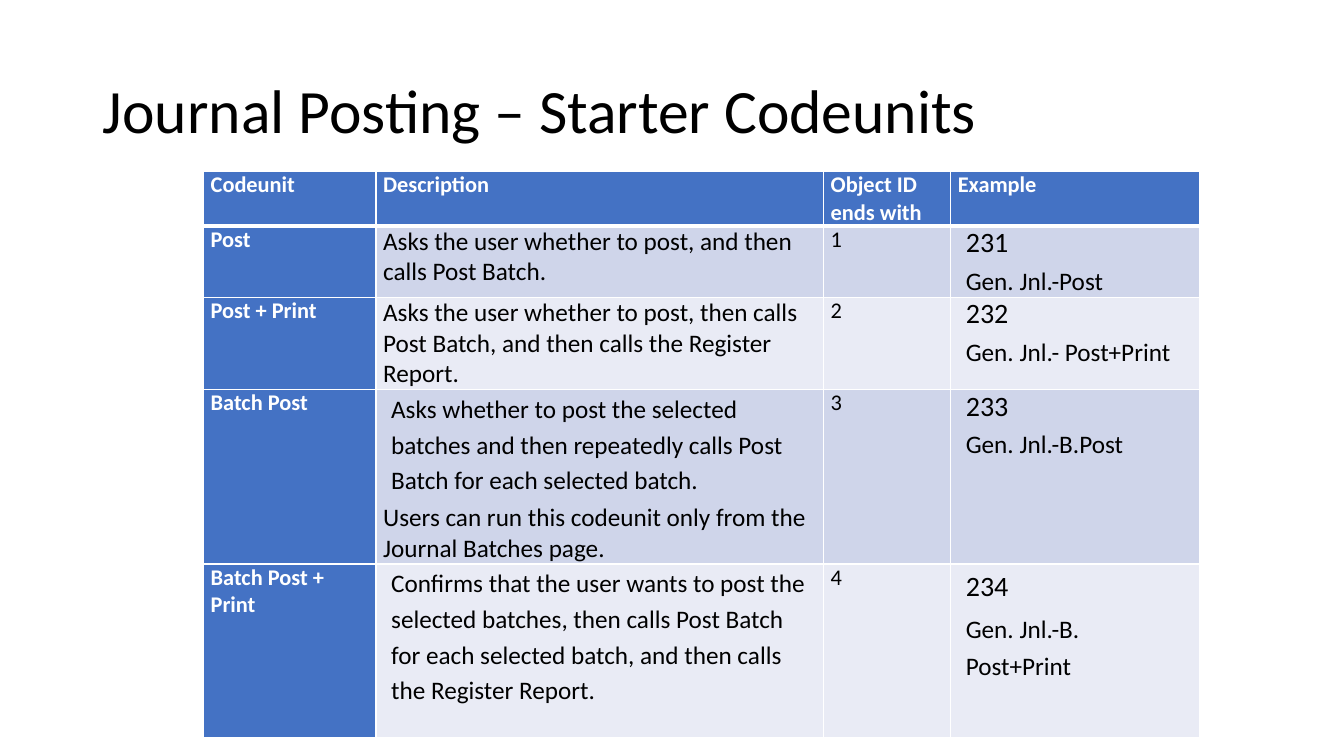
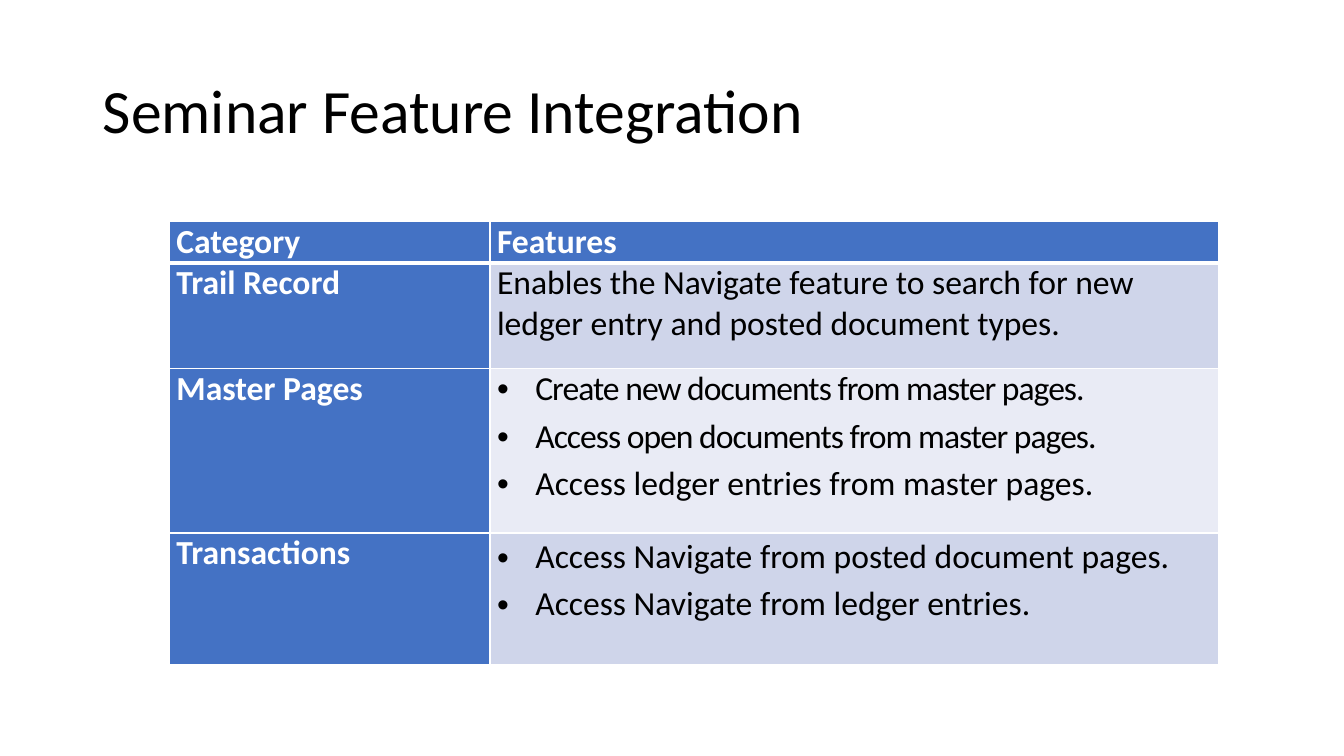
from dataclasses import dataclass

from lxml import etree
from pptx import Presentation
from pptx.dml.color import RGBColor
from pptx.enum.text import MSO_ANCHOR, MSO_AUTO_SIZE, PP_ALIGN
from pptx.oxml.ns import qn
from pptx.util import Inches, Pt

LEFT = PP_ALIGN.LEFT
MIDDLE = MSO_ANCHOR.MIDDLE
NO_FIT = MSO_AUTO_SIZE.NONE
TITLE_ONLY = 5


@dataclass(frozen=True)
class Theme:
    font: str = "Calibri"
    text: str = "000000"
    light: str = "FFFFFF"
    header: str = "4472C4"
    bands: tuple = ("CFD5EA", "E9EBF5")
    title_size: float = 44
    small: float = 16
    body: float = 18
    code: float = 20
    large: float = 24
    gap: float = 4.3
    loose: float = 1.16
    text_indent: float = 0.08
    bullet_indent: float = 0.38


THEME = Theme()


def para(text, **fmt):
    """Pair a paragraph's text with its format."""
    return text, fmt


def indented(text, **fmt):
    return para(text, indent=THEME.text_indent, **fmt)


def bullet(text, **fmt):
    return para(text, indent=THEME.bullet_indent, bulleted=True, **fmt)


def example(number, *lines, **fmt):
    """Object number in larger type, with its name below."""
    return [indented(number, size=THEME.code, **fmt),
            *(indented(line, **fmt) for line in lines)]


def write(p, text, *, size, color, bold=False, before=0, line=None,
          indent=0, bulleted=False, spacing=0):
    """Fill one paragraph; spacing is between letters, in points."""
    pPr = p._p.get_or_add_pPr()
    p.alignment = LEFT
    p.space_before = Pt(before)
    if line:
        p.line_spacing = line
    if indent:
        pPr.set("marL", str(Inches(indent)))
    if bulleted:
        pPr.set("indent", str(-Inches(indent)))
        etree.SubElement(pPr, qn("a:buFont"), typeface="Arial")
        etree.SubElement(pPr, qn("a:buChar"), char="•")
    r = p.add_run()
    r.text = text
    r.font.name = THEME.font
    r.font.size = Pt(size)
    r.font.bold = bold
    r.font.color.rgb = RGBColor.from_string(color)
    if spacing:
        r._r.get_or_add_rPr().set("spc", str(round(spacing * 100)))


class Deck:
    def __init__(self, theme):
        self.theme = theme
        self.prs = Presentation()
        self.prs.slide_width = Inches(13.33)
        self.prs.slide_height = Inches(7.5)
        self.slide = None

    def add_slide(self, title):
        layout = self.prs.slide_layouts[TITLE_ONLY]
        self.slide = self.prs.slides.add_slide(layout)
        sp = self.slide.shapes.title
        sp.left, sp.top = Inches(0.92), Inches(0.4)
        sp.width, sp.height = Inches(11.5), Inches(1.45)
        tf = sp.text_frame
        tf.word_wrap = True
        tf.auto_size = NO_FIT
        tf.vertical_anchor = MIDDLE
        write(tf.paragraphs[0], title, size=self.theme.title_size,
              color=self.theme.text, line=0.9)

    def add_table(self, left, top, widths, heights, rows, sizes):
        """Table with header row and column; sizes gives each column's type."""
        frame = self.slide.shapes.add_table(
            len(rows), len(widths), Inches(left), Inches(top),
            Inches(sum(widths)), Inches(sum(heights)))
        table = frame.table
        for column, width in zip(table.columns, widths):
            column.width = Inches(width)
        for row, height in zip(table.rows, heights):
            row.height = Inches(height)
        for i, row in enumerate(rows):
            for j, content in enumerate(row):
                is_header = i == 0 or j == 0
                cell = table.cell(i, j)
                fill = self.theme.header if is_header else self.theme.bands[(i - 1) % 2]
                self.style_cell(cell, fill, top=3 if i == 1 else 1,
                                bottom=3 if i == 0 else 1)
                self.fill_cell(cell, content, bold=is_header,
                               size=sizes[0] if is_header else sizes[j],
                               color=self.theme.light if is_header else self.theme.text)

    def style_cell(self, cell, fill, top, bottom):
        cell.margin_left = cell.margin_right = Inches(0.07)
        cell.margin_top = cell.margin_bottom = 0
        tcPr = cell._tc.get_or_add_tcPr()
        for side, width in (("L", 1), ("R", 1), ("T", top), ("B", bottom)):
            ln = etree.SubElement(tcPr, qn(f"a:ln{side}"), w=str(Pt(width)))
            solid = etree.SubElement(ln, qn("a:solidFill"))
            etree.SubElement(solid, qn("a:srgbClr"), val=self.theme.light)
        cell.fill.solid()
        cell.fill.fore_color.rgb = RGBColor.from_string(fill)

    def fill_cell(self, cell, content, **base):
        tf = cell.text_frame
        items = [para(content)] if isinstance(content, str) else content
        for k, (text, fmt) in enumerate(items):
            p = tf.add_paragraph() if k else tf.paragraphs[0]
            before = self.theme.gap if k else 0
            write(p, text, **{**base, "before": before, **fmt})


def starter_codeunits(deck):
    t = deck.theme
    deck.add_slide("Journal Posting – Starter Codeunits")
    rows = [
        ["Codeunit", "Description", "Object ID ends with", "Example"],
        ["Post",
         "Asks the user whether to post, and then calls Post Batch.",
         "1", example("231", "Gen. Jnl.-Post")],
        ["Post + Print",
         "Asks the user whether to post, then calls Post Batch, and then "
         "calls the Register Report.",
         "2", example("232", "Gen. Jnl.- Post+Print")],
        ["Batch Post",
         [indented("Asks whether to post the selected batches and then repeatedly "
                   "calls Post Batch for each selected batch.", line=t.loose),
          para("Users can run this codeunit only from the Journal Batches page.")],
         "3", example("233", "Gen. Jnl.-B.Post")],
        ["Batch Post + Print",
         [indented("Confirms that the user wants to post the selected batches, then "
                   "calls Post Batch for each selected batch, and then calls the "
                   "Register Report.", line=t.loose)],
         "4", [*example("234", "Gen. Jnl.-B.", line=t.loose),
               indented("Post+Print")]],
    ]
    deck.add_table(2.02, 1.7, [1.71, 4.44, 1.26, 2.47],
                   [0.46, 0.55, 0.68, 1.69, 1.72], rows,
                   [t.small, t.body, t.small, t.body])


def feature_integration(deck):
    t = deck.theme
    deck.add_slide("Seminar Feature Integration")
    rows = [
        ["Category", "Features"],
        ["Trail Record",
         "Enables the Navigate feature to search for new ledger entry and "
         "posted document types."],
        ["Master Pages",
         [bullet("Create new documents from master pages.", spacing=-0.7),
          bullet("Access open documents from master pages.", spacing=-0.7, before=5.2),
          bullet("Access ledger entries from master pages.")]],
        ["Transactions",
         [bullet("Access Navigate from posted document pages.", line=1.1),
          bullet("Access Navigate from ledger entries.")]],
    ]
    deck.add_table(1.68, 2.2, [3.18, 7.23], [0.35, 1.05, 1.63, 1.31], rows,
                   [t.large, t.large])


def main():
    deck = Deck(THEME)
    starter_codeunits(deck)
    feature_integration(deck)
    deck.prs.save("out.pptx")


if __name__ == "__main__":
    main()
